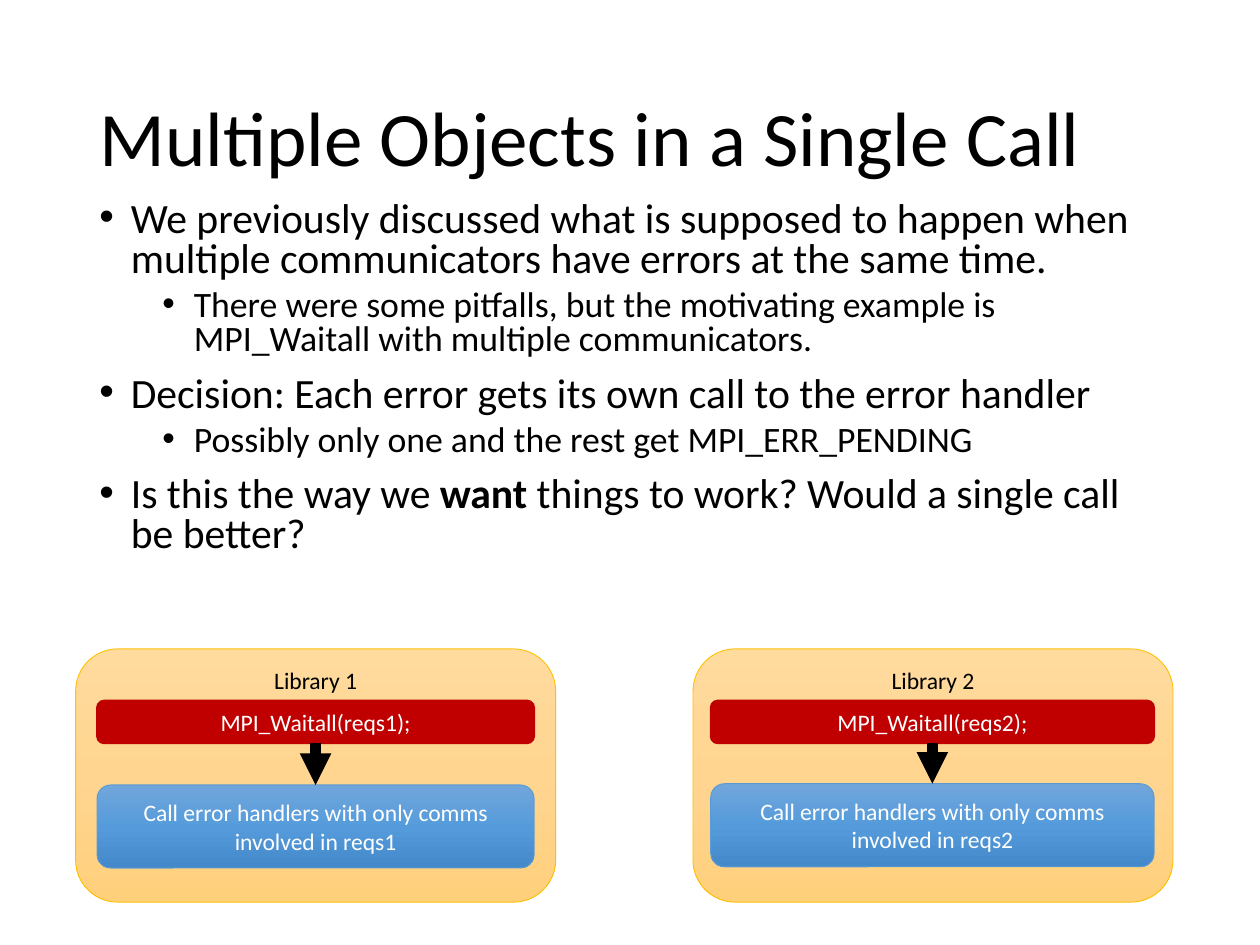
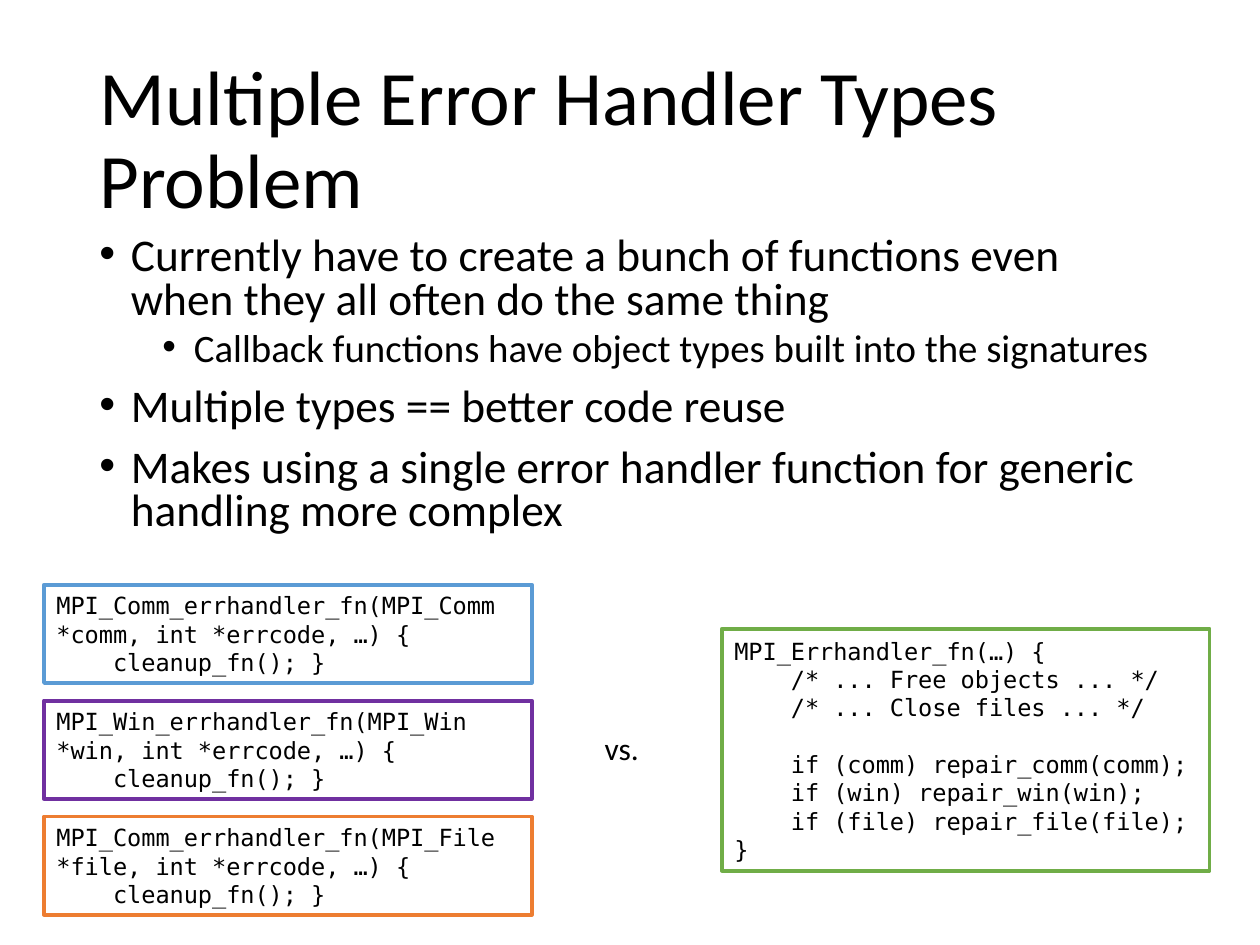
from copy import deepcopy

from lxml.etree import SubElement
from pptx import Presentation
from pptx.dml.color import RGBColor
from pptx.enum.shapes import MSO_CONNECTOR, MSO_SHAPE
from pptx.enum.text import MSO_ANCHOR, PP_ALIGN
from pptx.oxml.ns import qn
from pptx.util import Pt

PX = 9144  # EMU per px, 100 px to the inch
SANS, MONO = "Calibri", "DejaVu Sans Mono"
COLORS = {
    "black": "000000", "white": "FFFFFF", "red": "C00000", "gold": "FFC000",
    "blue": "5B9BD5", "purple": "7030A0", "orange": "ED7D31", "green": "70AD47",
}
GOLD_FADE = ("FFDB9E", "FFD590", "FFD07C")
BLUE_FADE = ("71A6DB", "559BDB", "448ACA")


def style_text(paragraph, size, color="black", face=SANS):
    for run in paragraph.runs:
        run.font.size = Pt(size)
        run.font.name = face
        run.font.color.rgb = RGBColor.from_string(COLORS[color])


def add_box(shapes, kind, place, fill, line, line_width, text, color="black", face=SANS,
            align=PP_ALIGN.CENTER, anchor=MSO_ANCHOR.MIDDLE, insets=(7, 4)):
    """Draw a filled box; fill is a colour name or three colours of a fade."""
    box = shapes.add_shape(kind, *(length * PX for length in place))
    box.shadow.inherit = False
    if isinstance(fill, tuple):
        box.fill.gradient()
        box.fill.gradient_angle = 270
        stop_list = box._element.spPr.find(".//" + qn("a:gsLst"))
        stop_list.insert(1, deepcopy(stop_list[0]))
        for stop, position, shade in zip(box.fill.gradient_stops, (0, 0.5, 1), fill):
            stop.position = position
            stop.color.rgb = RGBColor.from_string(shade)
    else:
        box.fill.solid()
        box.fill.fore_color.rgb = RGBColor.from_string(COLORS[fill])
    box.line.color.rgb = RGBColor.from_string(COLORS[line])
    box.line.width = Pt(line_width)
    frame = box.text_frame
    frame.word_wrap = True
    frame.vertical_anchor = anchor
    frame.margin_left = frame.margin_right = insets[0] * PX
    frame.margin_top = frame.margin_bottom = insets[1] * PX
    frame.text = text
    for paragraph in frame.paragraphs:
        paragraph.alignment = align
        style_text(paragraph, 13.5, color, face)
    return box


prs = Presentation()
prs.slide_width, prs.slide_height = 1000 * PX, 750 * PX

# Titles and bullets: title, body top, body height, sizes by level, (level, text)
# An asterisk marks the start and end of bold words
outlines = [
    ("Multiple Objects in a Single Call", 155, 335, (23.8, 20.4), [
        (0, "We previously discussed what is supposed to happen when multiple "
            "communicators have errors at the same time."),
        (1, "There were some pitfalls, but the motivating example is MPI_Waitall "
            "with multiple communicators."),
        (0, "Decision: Each error gets its own call to the error handler"),
        (1, "Possibly only one and the rest get MPI_ERR_PENDING"),
        (0, "Is this the way we *want* things to work? Would a single call be better?"),
    ]),
    ("Multiple Error Handler Types Problem", 183, 255, (25.9, 22.2), [
        (0, "Currently have to create a bunch of functions even when they all often "
            "do the same thing"),
        (1, "Callback functions have object types built into the signatures"),
        (0, "Multiple types == better code reuse"),
        (0, "Makes using a single error handler function for generic handling more complex"),
    ]),
]
slides = []
for title_text, body_top, body_height, sizes, bullets in outlines:
    slide = prs.slides.add_slide(prs.slide_layouts[6])
    slides.append(slide)

    title = slide.shapes.add_textbox(69 * PX, 40 * PX, 862 * PX, 145 * PX).text_frame
    title.word_wrap = True
    title.vertical_anchor = MSO_ANCHOR.MIDDLE
    title.text = title_text
    title.paragraphs[0].line_spacing = 0.9
    style_text(title.paragraphs[0], 44)

    body = slide.shapes.add_textbox(69 * PX, body_top * PX, 862 * PX, body_height * PX).text_frame
    body.word_wrap = True
    for index, (level, text) in enumerate(bullets):
        bullet = body.add_paragraph() if index else body.paragraphs[0]
        bullet.level = level
        bullet.line_spacing = 0.8
        bullet.space_before = Pt((10, 5)[level] if index else 0)
        properties = bullet._p.get_or_add_pPr()
        properties.set("marL", str((25, 75)[level] * PX))
        properties.set("indent", str(-25 * PX))
        SubElement(properties, qn("a:buFont"), typeface="Arial")
        SubElement(properties, qn("a:buChar"), char="•")
        for part, words in enumerate(text.split("*")):
            run = bullet.add_run()
            run.text = words
            run.font.bold = part % 2 == 1
        style_text(bullet, sizes[level])

objects_slide, handlers_slide = slides

# Libraries: panel left, inner left, inner width, handler top
libraries = [(60, 77, 347, 623), (550, 564, 352, 622)]
for number, (panel_left, left, width, handler_top) in enumerate(libraries, 1):
    library = objects_slide.shapes.add_group_shape().shapes
    add_box(library, MSO_SHAPE.ROUNDED_RECTANGLE, (panel_left, 515, 381, 201), GOLD_FADE,
            "gold", 0.5, f"Library {number}", anchor=MSO_ANCHOR.TOP)
    call = add_box(library, MSO_SHAPE.ROUNDED_RECTANGLE, (left, 556, width, 34), "red",
                   "red", 1, f"MPI_Waitall(reqs{number});", "white")
    handler = add_box(library, MSO_SHAPE.ROUNDED_RECTANGLE, (left, handler_top, width, 66),
                      BLUE_FADE, "blue", 0.5,
                      f"Call error handlers with only comms involved in reqs{number}", "white")
    arrow = library.add_connector(MSO_CONNECTOR.STRAIGHT, 0, 0, 0, 0)
    arrow.begin_connect(call, 2)
    arrow.end_connect(handler, 0)
    arrow.line.color.rgb = RGBColor.from_string(COLORS["black"])
    arrow.line.width = Pt(6)
    SubElement(arrow.line._get_or_add_ln(), qn("a:tailEnd"), type="triangle")
    SubElement(arrow._element.spPr, qn("a:effectLst"))

# Code boxes: one handler per type, against a single generic one
typed_handlers = [
    ("MPI_Comm_errhandler_fn(MPI_Comm *comm", "blue"),
    ("MPI_Win_errhandler_fn(MPI_Win *win", "purple"),
    ("MPI_Comm_errhandler_fn(MPI_File *file", "orange"),
]
code_boxes = [
    ((35, 464 + 92 * row, 387, 78), line, f"{signature}, int *errcode, …) {{\n    cleanup_fn(); }}")
    for row, (signature, line) in enumerate(typed_handlers)
]
generic_handler = """MPI_Errhandler_fn(…) {
    /* ... Free objects ... */
    /* ... Close files ... */
    
    if (comm) repair_comm(comm);
    if (win) repair_win(win);
    if (file) repair_file(file);
}"""
code_boxes.append(((573, 499, 387, 192), "green", generic_handler))
for place, line, code in code_boxes:
    add_box(handlers_slide.shapes, MSO_SHAPE.RECTANGLE, place, "white", line, 2.25, code,
            face=MONO, align=PP_ALIGN.LEFT, insets=(10, 5))

versus = handlers_slide.shapes.add_textbox(470 * PX, 574 * PX, 48 * PX, 40 * PX).text_frame
versus.word_wrap = False
versus.text = "vs."
style_text(versus.paragraphs[0], 18)

prs.save("out.pptx")
